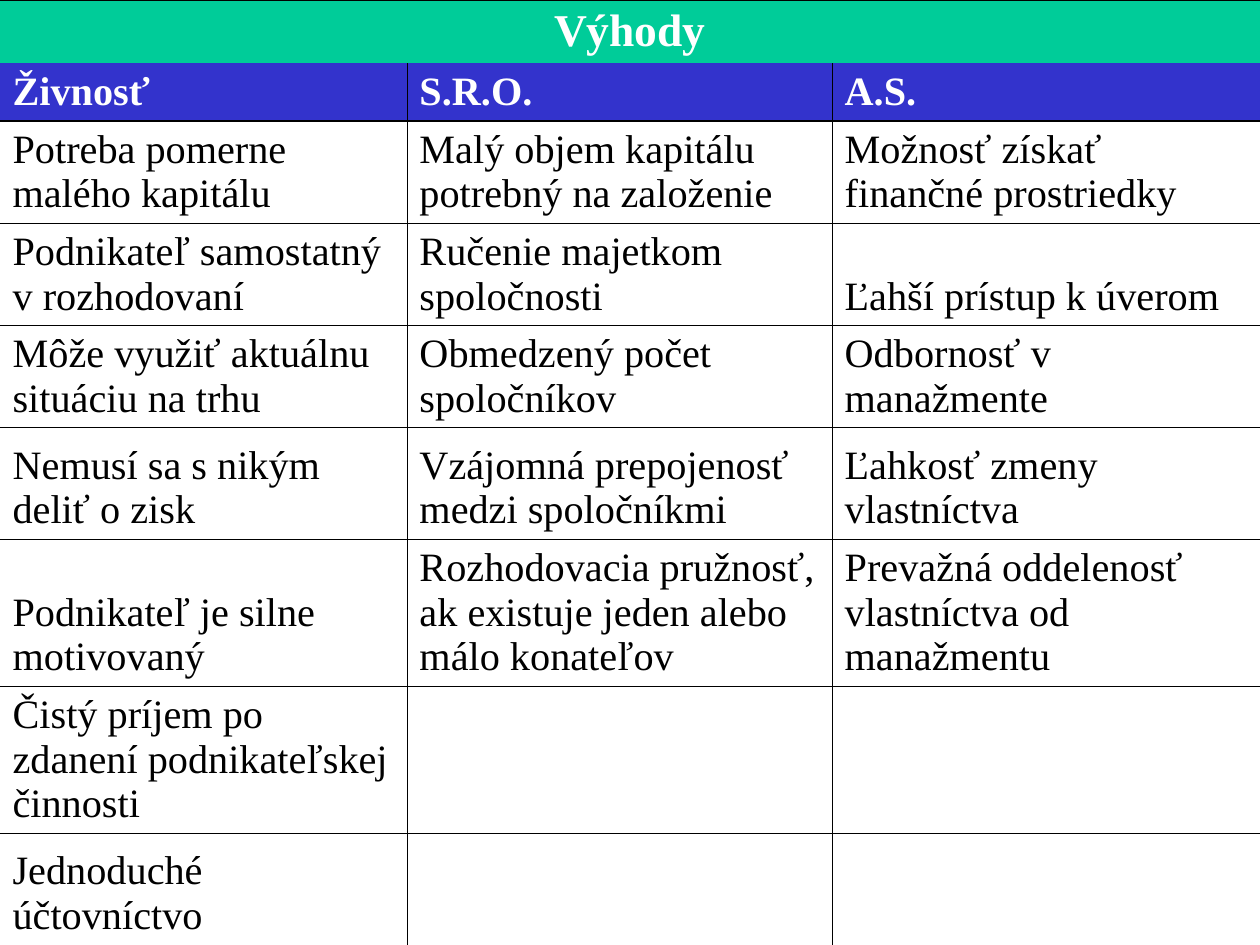
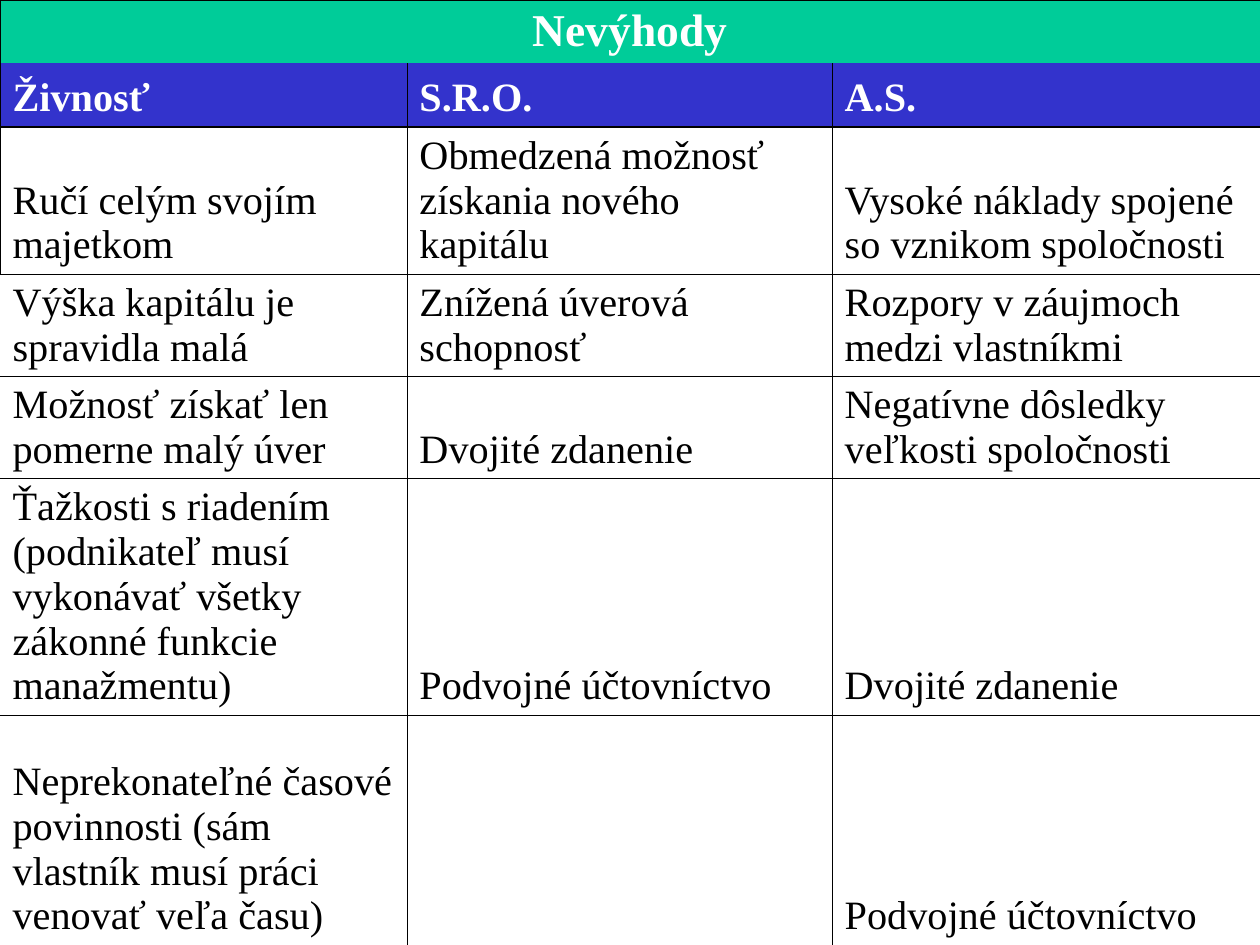
from pptx import Presentation
from pptx.dml.color import RGBColor
from pptx.enum.text import MSO_ANCHOR, PP_ALIGN
from pptx.oxml.ns import qn
from pptx.util import Pt
from lxml import etree

BOTTOM = MSO_ANCHOR.BOTTOM
CENTER = PP_ALIGN.CENTER
LEFT = PP_ALIGN.LEFT

GREEN = RGBColor(0x00, 0xCC, 0x99)
BLUE = RGBColor(0x33, 0x33, 0xCC)
WHITE = RGBColor(0xFF, 0xFF, 0xFF)
BLACK = RGBColor(0x00, 0x00, 0x00)
FONT = "Times New Roman"
THIN, THICK = 0.45, 1.08

WIDTH, HEIGHT = 720, 540
COLS = [232.5, 243, 244.5]
FORMS = ["Živnosť", "S.R.O.", "A.S."]

# Each slide: title, row heights, number of rows with a left border, body rows
SLIDES = [
    (
        "Výhody",
        [36, 33, 58.5, 58.5, 58.5, 63.5, 84, 84, 64],
        0,
        [
            ["Potreba pomerne malého kapitálu",
             "Malý objem kapitálu potrebný na založenie",
             "Možnosť získať finančné prostriedky"],
            ["Podnikateľ samostatný v rozhodovaní",
             "Ručenie majetkom spoločnosti",
             "Ľahší prístup k úverom"],
            ["Môže využiť aktuálnu situáciu na trhu",
             "Obmedzený počet spoločníkov",
             "Odbornosť v manažmente"],
            ["Nemusí sa s nikým deliť o zisk",
             "Vzájomná prepojenosť medzi spoločníkmi",
             "Ľahkosť zmeny vlastníctva"],
            ["Podnikateľ je silne motivovaný",
             "Rozhodovacia pružnosť, ak existuje jeden alebo málo konateľov",
             "Prevažná oddelenosť vlastníctva od manažmentu"],
            ["Čistý príjem po zdanení podnikateľskej činnosti", "", ""],
            ["Jednoduché účtovníctvo", "", ""],
        ],
    ),
    (
        "Nevýhody",
        [36, 36.5, 84, 58.5, 58.5, 135, 131.5],
        3,
        [
            ["Ručí celým svojím majetkom",
             "Obmedzená možnosť získania nového kapitálu",
             "Vysoké náklady spojené so vznikom spoločnosti"],
            ["Výška kapitálu je spravidla malá",
             "Znížená úverová schopnosť",
             "Rozpory v záujmoch medzi vlastníkmi"],
            ["Možnosť získať len pomerne malý úver",
             "Dvojité zdanenie",
             "Negatívne dôsledky veľkosti spoločnosti"],
            ["Ťažkosti s riadením (podnikateľ musí vykonávať všetky "
             "zákonné funkcie manažmentu)",
             "Podvojné účtovníctvo",
             "Dvojité zdanenie"],
            ["Neprekonateľné časové povinnosti (sám vlastník musí práci "
             "venovať veľa času)",
             "",
             "Podvojné účtovníctvo"],
        ],
    ),
]


def add_edge(cell, side, width):
    """Draw one cell border in black; a width of 0 hides it."""
    props = cell._tc.get_or_add_tcPr()
    line = etree.SubElement(props, qn(f"a:ln{side}"), w=str(Pt(width)))
    if width:
        fill = etree.SubElement(line, qn("a:solidFill"))
        etree.SubElement(fill, qn("a:srgbClr"), val=str(BLACK))
    else:
        etree.SubElement(line, qn("a:noFill"))


def fill_cell(cell, text, size, color, bold, align):
    cell.vertical_anchor = BOTTOM
    cell.margin_left = cell.margin_right = Pt(7.2)
    cell.margin_top = cell.margin_bottom = Pt(3.6)
    para = cell.text_frame.paragraphs[0]
    para.text = text
    para.alignment = align
    para.font.size = Pt(size)
    for run in para.runs:
        run.font.name = FONT
        run.font.size = Pt(size)
        run.font.bold = bold
        run.font.color.rgb = color


prs = Presentation()
prs.slide_width, prs.slide_height = Pt(WIDTH), Pt(HEIGHT)

for title, heights, edged, body in SLIDES:
    slide = prs.slides.add_slide(prs.slide_layouts[6])
    frame = slide.shapes.add_table(
        len(heights), len(COLS), 0, 0, Pt(WIDTH), Pt(HEIGHT))
    table = frame.table
    table.horz_banding = False
    for col, width in zip(table.columns, COLS):
        col.width = Pt(width)
    for row, height in zip(table.rows, heights):
        row.height = Pt(height)
    table.cell(0, 0).merge(table.cell(0, len(COLS) - 1))

    for r, texts in enumerate([[title, "", ""], FORMS] + body):
        top = {1: 0, 2: THICK}.get(r, THIN)
        base = {0: 0, 1: THICK}.get(r, THIN)
        for c, text in enumerate(texts):
            cell = table.cell(r, c)
            left = THIN if c or r < edged else 0
            for side, width in zip("LRTB", (left, THIN, top, base)):
                add_edge(cell, side, width)
            if r < 2:
                cell.fill.solid()
                cell.fill.fore_color.rgb = BLUE if r else GREEN
            else:
                cell.fill.background()
            if cell.is_spanned:
                continue
            if r == 0:
                fill_cell(cell, text, 26, WHITE, True, CENTER)
            else:
                fill_cell(cell, text, 23, WHITE if r == 1 else BLACK,
                          r == 1, LEFT)

prs.save("out.pptx")
